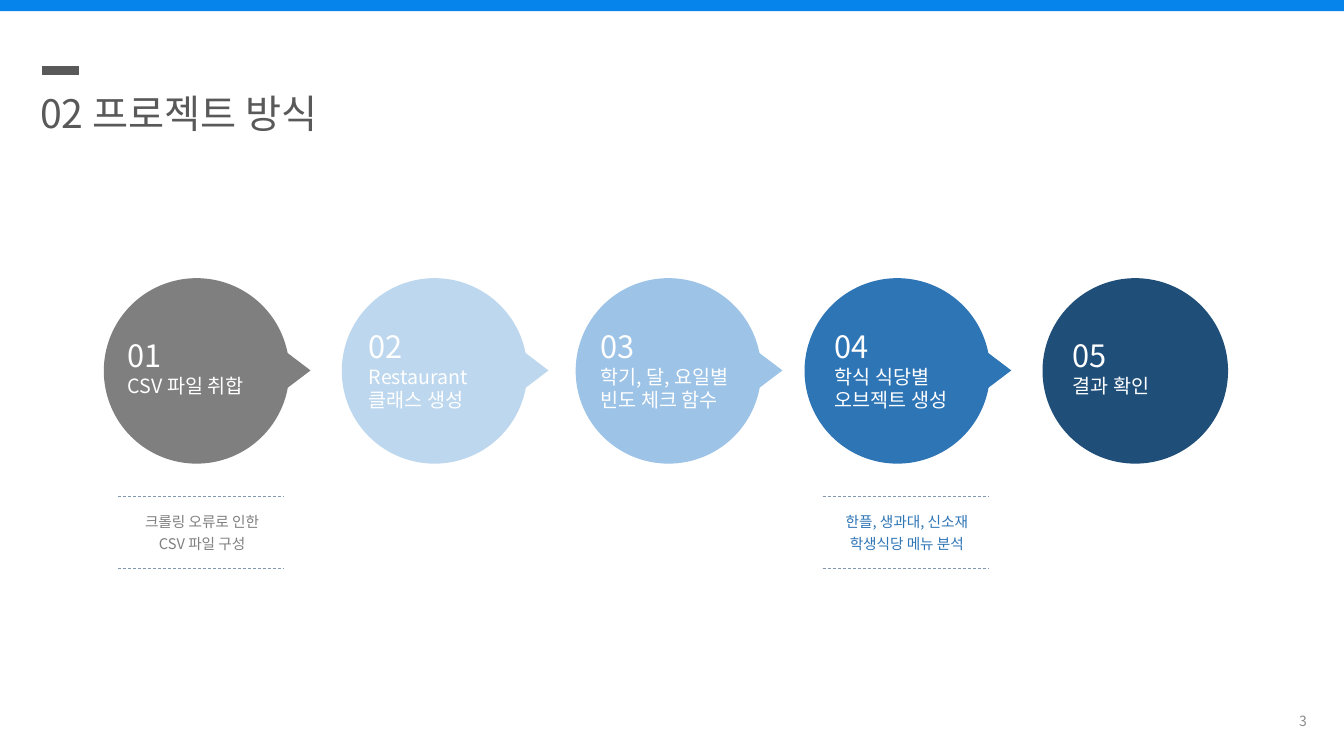
from lxml import etree
from pptx import Presentation
from pptx.dml.color import RGBColor
from pptx.enum.dml import MSO_LINE
from pptx.enum.shapes import MSO_CONNECTOR, MSO_SHAPE
from pptx.enum.text import MSO_ANCHOR, PP_ALIGN
from pptx.oxml.ns import qn
from pptx.util import Inches, Pt

RECT, OVAL = MSO_SHAPE.RECTANGLE, MSO_SHAPE.OVAL
TRIANGLE = MSO_SHAPE.ISOSCELES_TRIANGLE
STRAIGHT, DASH = MSO_CONNECTOR.STRAIGHT, MSO_LINE.DASH
TOP, MIDDLE = MSO_ANCHOR.TOP, MSO_ANCHOR.MIDDLE
LEFT, CENTER, RIGHT = PP_ALIGN.LEFT, PP_ALIGN.CENTER, PP_ALIGN.RIGHT

FONT = "Noto Sans CJK KR"
WHITE = RGBColor(0xFF, 0xFF, 0xFF)
BAR = RGBColor(0x06, 0x84, 0xEC)
DARK = RGBColor(0x59, 0x59, 0x59)
PALE = RGBColor(0x8C, 0x8C, 0x8C)
RULE = RGBColor(0x84, 0x97, 0xB0)
GRAY = RGBColor(0x7F, 0x7F, 0x7F)
ICE = RGBColor(0xBD, 0xD7, 0xEE)
SKY = RGBColor(0x9D, 0xC3, 0xE6)
BLUE = RGBColor(0x2E, 0x75, 0xB6)
NAVY = RGBColor(0x1F, 0x4E, 0x79)

SIZE = 1.84
STEP_TOP = 2.76
NOTE_TOP = 4.92

STEPS = [
    (1.03, GRAY, 0.14, 2.04, ["01", "CSV 파일 취합"]),
    (3.39, ICE, 0.17, 1.73, ["02", "Restaurant", "클래스 생성"]),
    (5.71, SKY, 0.15, 1.94, ["03", "학기, 달, 요일별", "빈도 체크 함수"]),
    (7.98, BLUE, 0.2, 1.73, ["04", "학식 식당별", "오브젝트 생성"]),
    (10.34, NAVY, 0.2, 1.73, ["05", "결과 확인"]),
]
NOTES = [
    (1.17, GRAY, ["크롤링 오류로 인한", "CSV 파일 구성"]),
    (8.16, BLUE, ["한플, 생과대, 신소재", "학생식당 메뉴 분석"]),
]


def add_form(slide, kind, box, color):
    form = slide.shapes.add_shape(kind, *map(Inches, box))
    form.shadow.inherit = False
    form.fill.solid()
    form.fill.fore_color.rgb = color
    form.line.fill.background()
    return form


def add_line(slide, left, top, width, color, weight):
    line = slide.shapes.add_connector(
        STRAIGHT, Inches(left), Inches(top), Inches(left + width), Inches(top))
    line.line.color.rgb = color
    line.line.width = Pt(weight)
    etree.SubElement(line._element.spPr, qn("a:effectLst"))
    return line


def add_text(slide, box, lines, sizes, color, align=LEFT, anchor=TOP, space=None):
    frame = slide.shapes.add_textbox(*map(Inches, box)).text_frame
    frame.word_wrap = True
    frame.vertical_anchor = anchor
    frame.text = "\n".join(lines)
    for para, size in zip(frame.paragraphs, sizes):
        para.alignment = align
        para.line_spacing = space
        para.font.name = FONT
        para.font.size = Pt(size)
        para.font.color.rgb = color
        props = para._p.pPr.find(qn("a:defRPr"))
        etree.SubElement(props, qn("a:ea"), typeface=FONT)


def add_header(slide, left, top):
    add_line(slide, left + 0.12, top, 0.36, DARK, 6)
    add_text(slide, (left, top + 0.14, 3.86, 0.57), ["02 프로젝트 방식"], [28], DARK)


def add_step(slide, left, top, color, inset, width, lines, arrow):
    add_form(slide, OVAL, (left, top, SIZE, SIZE), color)
    if arrow:
        tip = add_form(slide, TRIANGLE, (left + 1.66, top + 0.76, 0.47, 0.31), color)
        tip.rotation = 90
    drop, height = (0.53, 0.71) if len(lines) == 2 else (0.44, 0.94)
    add_text(slide, (left + inset, top + drop, width, height), lines,
             [22, 14, 14], WHITE)


def add_note(slide, left, top, color, lines):
    for drop in (0, 0.72):
        add_line(slide, left, top + drop, 1.65, RULE, 0.5).line.dash_style = DASH
    add_text(slide, (left - 0.03, top + 0.07, 1.73, 0.54), lines,
             [10.5, 10.5], color, CENTER, space=Pt(16))


def main():
    deck = Presentation()
    deck.slide_width, deck.slide_height = Inches(13.33), Inches(7.5)
    slide = deck.slides.add_slide(deck.slide_layouts[6])
    add_form(slide, RECT, (0, 0, 13.33, 0.11), BAR)
    add_header(slide, 0.3, 0.7)
    for left, color, inset, width, lines in STEPS:
        add_step(slide, left, STEP_TOP, color, inset, width, lines, color != NAVY)
    for left, color, lines in NOTES:
        add_note(slide, left, NOTE_TOP, color, lines)
    add_text(slide, (10.06, 6.95, 3, 0.4), ["3"], [10], PALE, RIGHT, MIDDLE)
    deck.save("out.pptx")


if __name__ == "__main__":
    main()
